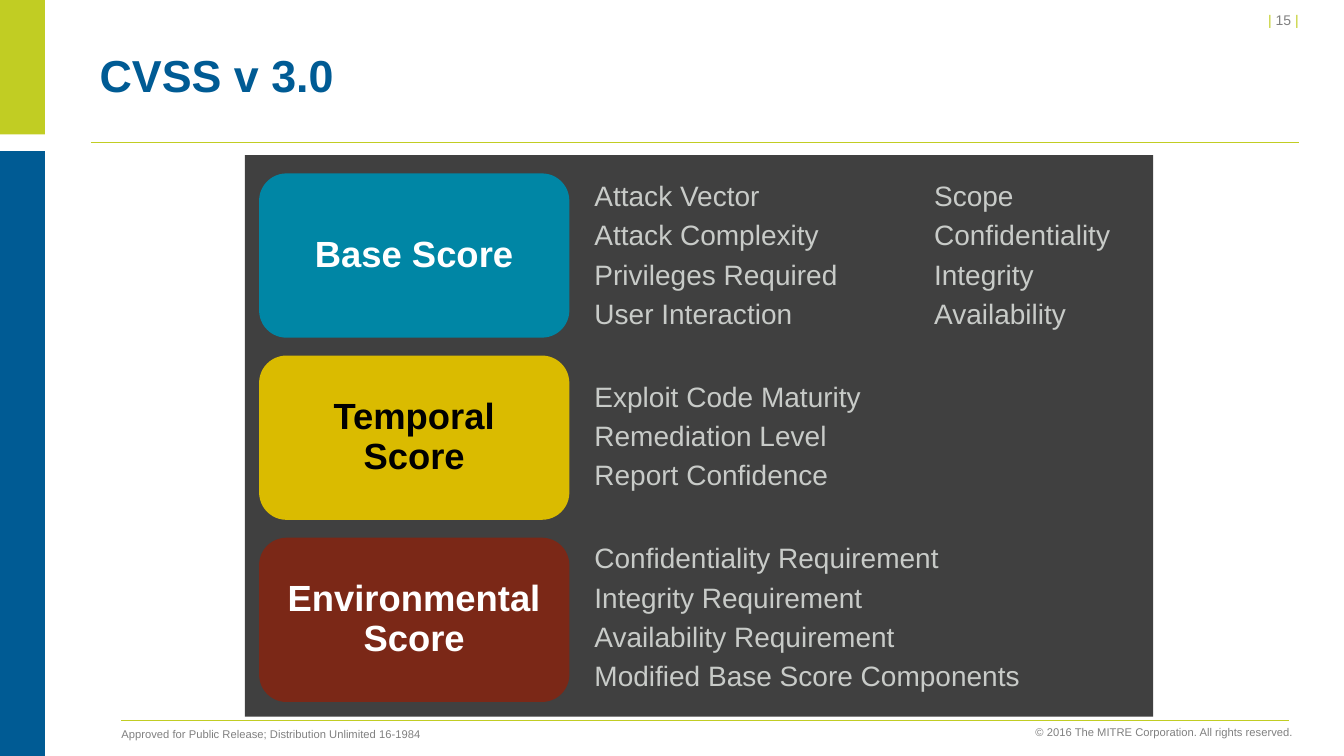
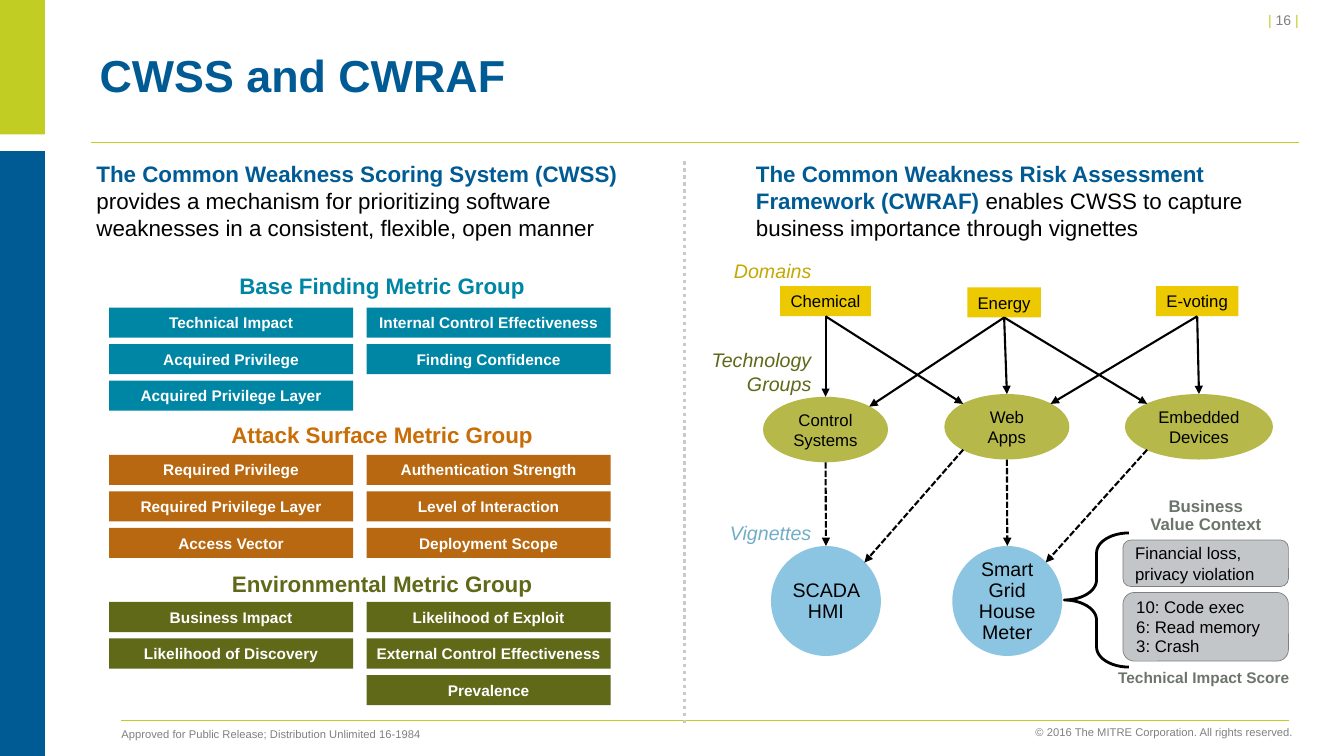
from dataclasses import dataclass

from lxml import etree
from pptx import Presentation
from pptx.dml.color import RGBColor
from pptx.enum.dml import MSO_LINE
from pptx.enum.shapes import MSO_CONNECTOR, MSO_SHAPE
from pptx.enum.text import MSO_ANCHOR, MSO_AUTO_SIZE, PP_ALIGN
from pptx.oxml.ns import qn
from pptx.util import Cm, Pt

RECT, ROUNDED = MSO_SHAPE.RECTANGLE, MSO_SHAPE.ROUNDED_RECTANGLE
OVAL, BRACE = MSO_SHAPE.OVAL, MSO_SHAPE.LEFT_BRACE
LEFT, CENTER, RIGHT = PP_ALIGN.LEFT, PP_ALIGN.CENTER, PP_ALIGN.RIGHT
TOP, MIDDLE = MSO_ANCHOR.TOP, MSO_ANCHOR.MIDDLE
DASHED, DOTTED = MSO_LINE.SQUARE_DOT, MSO_LINE.ROUND_DOT
COMPARISON_LAYOUT, TWO_CONTENT_LAYOUT = 4, 3
FIRST_PAGE = 15

# Connection sites: index, share of width, share of height
BOX_BOTTOM = (2, 0.5, 1)
OVAL_TOP, OVAL_BOTTOM = (0, 0.5, 0), (4, 0.5, 1)
OVAL_TOP_LEFT, OVAL_TOP_RIGHT = (1, 0.15, 0.15), (7, 0.85, 0.15)
OVAL_BOTTOM_LEFT = (3, 0.15, 0.85)


@dataclass(frozen=True)
class Theme:
    font: str = "Arial"
    # Colours
    lime: str = "C1CD23"
    blue: str = "005B94"
    grey: str = "808080"
    white: str = "FFFFFF"
    black: str = "000000"
    panel: str = "404040"
    silver: str = "C8CBC8"
    teal: str = "0086A5"
    gold: str = "DABB00"
    brick: str = "7B2817"
    rust: str = "B86810"
    orange: str = "C96D07"
    olive: str = "606918"
    yellow: str = "ECC900"
    moss: str = "B6B949"
    sky: str = "8CC5E2"
    domain_label: str = "C4A800"
    vignette_label: str = "71ACC9"
    impact_box: str = "C2C6C8"
    caption: str = "6C746C"
    # Type sizes
    title: int = 32
    card: int = 26
    metrics: int = 20
    lead: int = 16
    label: int = 14
    node: int = 12
    chip: int = 11
    page: int = 10
    footer: int = 8


T = Theme()


# Text
def write(shape, paragraphs, size, color=T.black, bold=False, italic=False,
          align=LEFT, anchor=TOP, spacing=None, after=0, insets=(0.25, 0.13)):
    """Fill a shape; a paragraph is a string or a list of (text, colour, bold) runs."""
    frame = shape.text_frame
    frame.word_wrap = True
    frame.auto_size = MSO_AUTO_SIZE.NONE
    frame.vertical_anchor = anchor
    frame.margin_left = frame.margin_right = Cm(insets[0])
    frame.margin_top = frame.margin_bottom = Cm(insets[1])
    for index, content in enumerate(paragraphs):
        paragraph = frame.paragraphs[0] if index == 0 else frame.add_paragraph()
        properties = paragraph._p.get_or_add_pPr()
        properties.set("marL", "0")
        properties.set("indent", "0")
        etree.SubElement(properties, qn("a:buNone"))
        paragraph.alignment = align
        paragraph.space_before = Pt(0)
        paragraph.space_after = Pt(after)
        paragraph.line_spacing = spacing or 1.0
        runs = [(content, color, bold)] if isinstance(content, str) else content
        for text, run_color, run_bold in runs:
            run = paragraph.add_run()
            run.text = text
            run.font.name, run.font.size = T.font, Pt(size)
            run.font.bold, run.font.italic = run_bold, italic
            run.font.color.rgb = RGBColor.from_string(run_color)


def place(shape, left, top, width, height):
    shape.left, shape.top = Cm(left), Cm(top)
    shape.width, shape.height = Cm(width), Cm(height)
    return shape


def text_box(slide, box, paragraphs, size, **style):
    write(slide.shapes.add_textbox(*map(Cm, box)), paragraphs, size, **style)


# Shapes and lines
def add_block(slide, kind, box, fill=None, outline=None, weight=0.5):
    block = slide.shapes.add_shape(kind, *map(Cm, box))
    block.shadow.inherit = False
    if fill:
        block.fill.solid()
        block.fill.fore_color.rgb = RGBColor.from_string(fill)
    else:
        block.fill.background()
    if outline:
        block.line.color.rgb = RGBColor.from_string(outline)
        block.line.width = Pt(weight)
    else:
        block.line.fill.background()
    return block


def draw_line(slide, start, end, color, weight, dash=None):
    line = slide.shapes.add_connector(MSO_CONNECTOR.STRAIGHT, *start, *end)
    line.line.color.rgb = RGBColor.from_string(color)
    line.line.width = Pt(weight)
    if dash:
        line.line.dash_style = dash
    etree.SubElement(line.element.spPr, qn("a:effectLst"))
    return line


def site_point(shape, site):
    _, across, down = site
    return (int(shape.left + across * shape.width), int(shape.top + down * shape.height))


def draw_arrow(slide, source, source_site, target, target_site, dash=None):
    arrow = draw_line(slide, site_point(source, source_site),
                      site_point(target, target_site), T.black, 1.5, dash)
    etree.SubElement(arrow.line._get_or_add_ln(), qn("a:tailEnd"), type="triangle")
    links = arrow.element.nvCxnSpPr.cNvCxnSpPr
    for tag, shape, site in (("a:stCxn", source, source_site),
                             ("a:endCxn", target, target_site)):
        etree.SubElement(links, qn(tag), id=str(shape.shape_id), idx=str(site[0]))


# Shared frame of every slide
def start_slide(prs, layout, title, page):
    slide = prs.slides.add_slide(prs.slide_layouts[layout])
    write(place(slide.shapes.title, 2.26, 0.79, 30.48, 2.41), [title], T.title,
          color=T.blue, bold=True, anchor=MIDDLE, spacing=Pt(32))
    add_block(slide, RECT, (0, 0, 1.13, 3.39), T.lime)
    add_block(slide, RECT, (0, 3.81, 1.13, 15.24), T.blue)
    for left, right, y in ((2.29, 32.74, 3.59), (3.05, 32.49, 18.16)):
        draw_line(slide, (Cm(left), Cm(y)), (Cm(right), Cm(y)), T.lime, 1)
    page_runs = [("| ", T.lime, False), (f"{page} ", T.grey, False), ("|", T.lime, False)]
    text_box(slide, (27.13, 0.16, 5.85, 0.69), [page_runs], T.page, align=RIGHT)
    text_box(slide, (25.05, 18.14, 7.79, 0.61),
             ["© 2016 The MITRE Corporation. All rights reserved."],
             T.footer, color=T.grey, align=RIGHT)
    text_box(slide, (2.81, 18.08, 8.53, 0.71),
             ["Approved for Public Release; Distribution Unlimited 16-1984"],
             T.footer, color=T.grey, spacing=Pt(13))
    return slide


# Slide: CVSS scores
def build_cvss(prs, page):
    slide = start_slide(prs, COMPARISON_LAYOUT, "CVSS v 3.0", page)
    panel = add_block(slide, RECT, (6.17, 3.91, 22.89, 14.15), T.panel)
    slide.shapes.element.insert(2, panel.element)  # behind the lists

    scores = (("Base Score", T.teal, T.white),
              ("Temporal Score", T.gold, T.black),
              ("Environmental Score", T.brick, T.white))
    for row, (name, fill, ink) in enumerate(scores):
        card = add_block(slide, ROUNDED, (6.53, 4.37 + 4.59 * row, 7.82, 4.14), fill)
        write(card, [name], T.card, color=ink, bold=True, align=CENTER,
              anchor=MIDDLE, spacing=0.9, insets=(0.28, 0.13))

    # Metrics beside each score; the base score has two columns
    metric_lists = (
        ((14.73, 4.37, 8.4, 4.11),
         ["Attack Vector", "Attack Complexity", "Privileges Required", "User Interaction"]),
        ((23.29, 4.37, 5.6, 4.11),
         ["Scope", "Confidentiality", "Integrity", "Availability"]),
        ((14.73, 9.42, 13.6, 3.1),
         ["Exploit Code Maturity", "Remediation Level", "Report Confidence"]),
        ((14.73, 13.5, 13.6, 4.11),
         ["Confidentiality Requirement", "Integrity Requirement",
          "Availability Requirement", "Modified Base Score Components"]),
    )
    bodies = list(slide.placeholders)[1:]
    for body, (box, metrics) in zip(bodies, metric_lists):
        write(place(body, *box), metrics, T.metrics, color=T.silver, after=4)


# Slide: CWSS metric groups and CWRAF map
def add_metric_groups(slide):
    groups = (
        ("Base Finding Metric Group", T.teal, T.teal,
         (("Technical Impact", "Acquired Privilege", "Acquired Privilege Layer"),
          ("Internal Control Effectiveness", "Finding Confidence"))),
        ("Attack Surface Metric Group", T.orange, T.rust,
         (("Required Privilege", "Required Privilege Layer", "Access Vector"),
          ("Authentication Strength", "Level of Interaction", "Deployment Scope"))),
        ("Environmental Metric Group", T.olive, T.olive,
         (("Business Impact", "Likelihood of Discovery"),
          ("Likelihood of Exploit", "External Control Effectiveness", "Prevalence"))),
    )
    for index, (heading, ink, fill, columns) in enumerate(groups):
        text_box(slide, (4.63, 6.94 + 3.76 * index, 10, 0.75), [heading], T.lead,
                 color=ink, bold=True, align=CENTER, spacing=Pt(13))
        for column, metrics in enumerate(columns):
            for row, metric in enumerate(metrics):
                box = (2.75 + 6.49 * column, 7.75 + 3.71 * index + 0.92 * row, 6.15, 0.76)
                write(add_block(slide, RECT, box, fill), [metric], T.chip, color=T.white,
                      bold=True, align=CENTER, anchor=MIDDLE, insets=(0, 0.13))


def add_node(slide, kind, box, fill, name, size=T.node, **style):
    node = add_block(slide, kind, box, fill)
    write(node, [name], size, align=CENTER, anchor=MIDDLE, **style)
    return node


def add_vignette_map(slide):
    # Nodes, level by level
    chemical, energy, voting = [
        add_node(slide, RECT, (left, top, width, 0.76), T.yellow, name, insets=(0, 0.13))
        for name, left, top, width in (("Chemical", 19.66, 7.21, 2.29),
                                       ("Energy", 24.38, 7.24, 1.85),
                                       ("E-voting", 29.13, 7.21, 2.08))]
    control, web, embedded = [
        add_node(slide, OVAL, (left, top, width, 1.65), T.moss, name, insets=(0.2, 0.13))
        for name, left, top, width in (("Control Systems", 19.23, 10, 3.15),
                                       ("Web Apps", 23.8, 9.93, 3.15),
                                       ("Embedded Devices", 28.35, 9.93, 3.73))]
    scada, meter = [
        add_node(slide, OVAL, (left, 13.76, 2.77, 2.77), T.sky, name, T.label,
                 spacing=Pt(15), insets=(0, 0))
        for name, left in (("SCADA HMI", 19.43), ("Smart Grid House Meter", 24))]

    # Level labels
    for label, top, ink in (("Domains", 6.4, T.domain_label),
                            ("Technology Groups", 8.64, T.olive),
                            ("Vignettes", 13, T.vignette_label)):
        text_box(slide, (17.5, top, 3.2, 0.86), [label], T.label, color=ink,
                 italic=True, align=RIGHT)

    # Arrows from domains to technology groups, then to vignettes
    for domain, group, site in ((chemical, control, OVAL_TOP), (chemical, web, OVAL_TOP_LEFT),
                                (energy, control, OVAL_TOP_RIGHT), (energy, web, OVAL_TOP),
                                (energy, embedded, OVAL_TOP_LEFT),
                                (voting, web, OVAL_TOP_RIGHT), (voting, embedded, OVAL_TOP)):
        draw_arrow(slide, domain, BOX_BOTTOM, group, site)
    for group, exit_site, vignette, site in (
            (control, OVAL_BOTTOM, scada, OVAL_TOP),
            (web, OVAL_BOTTOM_LEFT, scada, OVAL_TOP_RIGHT),
            (web, OVAL_BOTTOM, meter, OVAL_TOP),
            (embedded, OVAL_BOTTOM_LEFT, meter, OVAL_TOP_RIGHT)):
        draw_arrow(slide, group, exit_site, vignette, site, DASHED)


def add_impact_detail(slide):
    for top, height, lines, spacing in (
            (13.61, 1.17, ["Financial loss, privacy violation"], None),
            (14.93, 1.73, ["10: Code exec", "6: Read memory", "3: Crash"], Pt(14))):
        box = add_block(slide, ROUNDED, (28.3, top, 4.17, height), T.impact_box, T.grey)
        write(box, lines, T.node, anchor=MIDDLE, spacing=spacing)
    brace = add_block(slide, BRACE, (26.82, 13.43, 1.63, 3.38), outline=T.black, weight=2)
    brace.adjustments[0] = 0.31
    for box, caption, size in (((28.6, 12.4, 3.58, 1.19), "Business Value Context", T.node),
                               ((27.71, 16.71, 5.26, 0.71), "Technical Impact Score", T.chip)):
        text_box(slide, box, [caption], size, color=T.caption, bold=True,
                 align=CENTER, spacing=Pt(13))


def build_cwss(prs, page):
    slide = start_slide(prs, TWO_CONTENT_LAYOUT, "CWSS and CWRAF", page)
    definitions = (
        (2.18, 14.02, "The Common Weakness Scoring System (CWSS) ",
         "provides a mechanism for prioritizing software weaknesses in a consistent, "
         "flexible, open manner"),
        (18.8, 13.56, "The Common Weakness Risk Assessment Framework (CWRAF) ",
         "enables CWSS to capture business importance through vignettes"),
    )
    bodies = list(slide.placeholders)[1:]
    for body, (left, width, term, meaning) in zip(bodies, definitions):
        write(place(body, left, 3.91, width, 2.44),
              [[(term, T.blue, True), (meaning, T.black, False)]], T.lead)
    draw_line(slide, (Cm(17.25), Cm(4.06)), (Cm(17.25), Cm(18.21)), T.silver, 2.5, DOTTED)
    add_metric_groups(slide)
    add_vignette_map(slide)
    add_impact_detail(slide)


def main():
    prs = Presentation()
    prs.slide_width, prs.slide_height = Cm(33.87), Cm(19.05)
    for page, build in enumerate((build_cvss, build_cwss), FIRST_PAGE):
        build(prs, page)
    prs.save("out.pptx")


if __name__ == "__main__":
    main()
